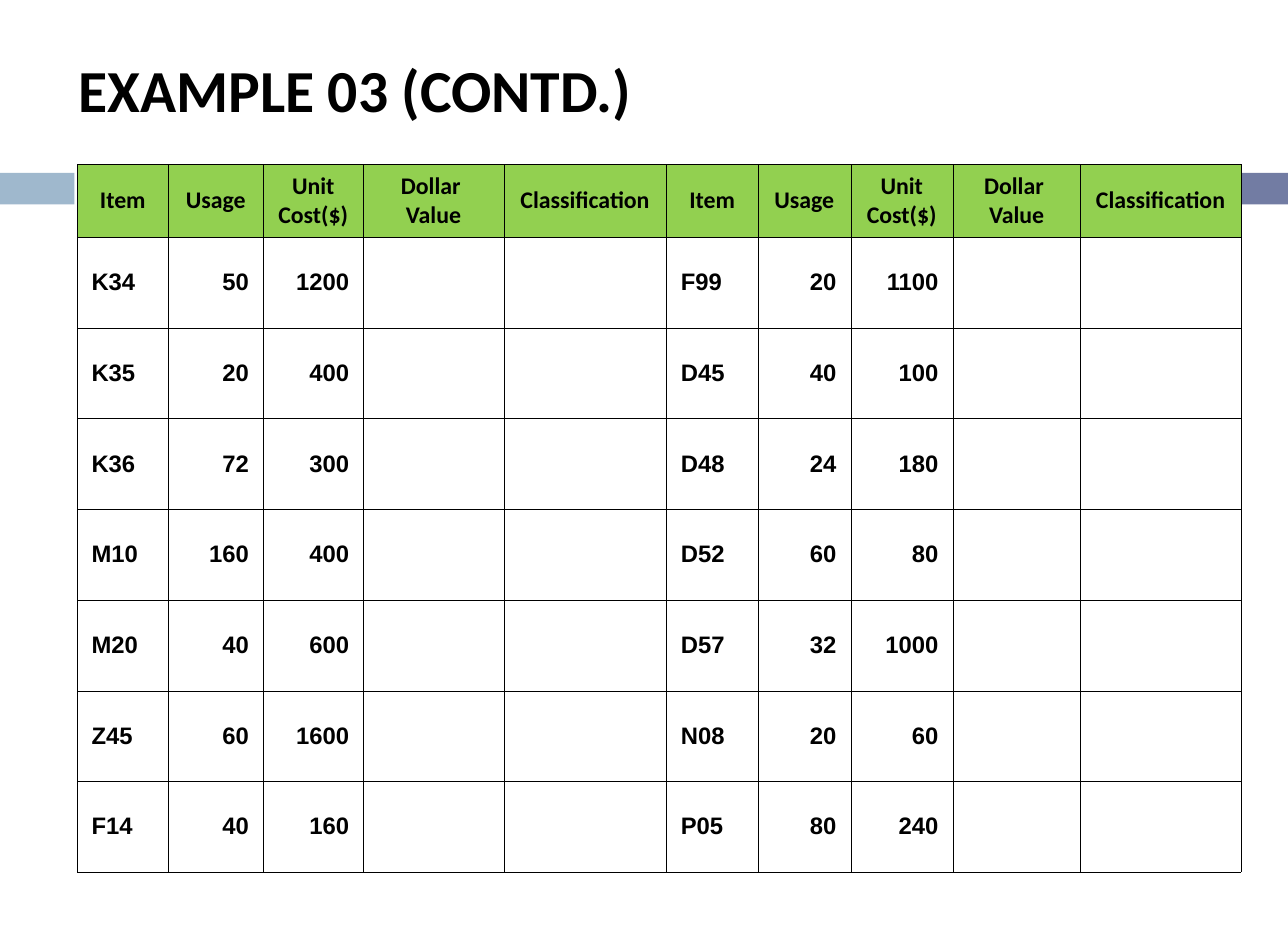
from dataclasses import dataclass

from lxml.etree import SubElement
from pptx import Presentation
from pptx.dml.color import RGBColor
from pptx.enum.shapes import MSO_SHAPE
from pptx.enum.text import MSO_ANCHOR, PP_ALIGN
from pptx.oxml.ns import qn
from pptx.util import Cm, Pt

BLACK = RGBColor(0x00, 0x00, 0x00)
GREEN = RGBColor(0x92, 0xD0, 0x50)
PALE_BLUE = RGBColor(0x9F, 0xB8, 0xCD)
SLATE_BLUE = RGBColor(0x72, 0x7C, 0xA3)

HAIRLINE = Pt(0.06)
THIN_LINE = Pt(0.45)
THIN_EDGES = (1, 9)  # column boundaries drawn with the thin line

HEADER_HEIGHT = 1.29
ROW_HEIGHT = 1.61
COLUMN_WIDTHS = (1.62, 1.68, 1.78, 2.49, 2.89, 1.62, 1.65, 1.81, 2.27, 2.84)
HEADINGS = ("Item", "Usage", "Unit\nCost($)", "Dollar \nValue", "Classification")


@dataclass(frozen=True)
class Bar:
    left: float
    width: float
    color: RGBColor


@dataclass(frozen=True)
class Item:
    code: str
    usage: int
    unit_cost: int

    def cells(self) -> tuple[str, ...]:
        return self.code, str(self.usage), str(self.unit_cost), "", ""


BARS = (Bar(0, 1.32, PALE_BLUE), Bar(1.47, 21.39, SLATE_BLUE))

LEFT_ITEMS = (
    Item("K34", 50, 1200),
    Item("K35", 20, 400),
    Item("K36", 72, 300),
    Item("M10", 160, 400),
    Item("M20", 40, 600),
    Item("Z45", 60, 1600),
    Item("F14", 40, 160),
)
RIGHT_ITEMS = (
    Item("F99", 20, 1100),
    Item("D45", 40, 100),
    Item("D48", 24, 180),
    Item("D52", 60, 80),
    Item("D57", 32, 1000),
    Item("N08", 20, 60),
    Item("P05", 80, 240),
)


def format_text(frame, font_name: str, size: float, alignment: PP_ALIGN) -> None:
    for para in frame.paragraphs:
        para.alignment = alignment
        for span in para.runs:
            span.font.name = font_name
            span.font.size = Pt(size)
            span.font.bold = True
            span.font.color.rgb = BLACK


def add_bar(page, bar: Bar) -> None:
    shape = page.shapes.add_shape(
        MSO_SHAPE.RECTANGLE, Cm(bar.left), Cm(3.07), Cm(bar.width), Cm(0.56)
    )
    shape.shadow.inherit = False
    shape.fill.solid()
    shape.fill.fore_color.rgb = bar.color
    shape.line.fill.background()


def add_title(page, text: str) -> None:
    title = page.shapes.title
    title.left, title.top = Cm(1.14), Cm(0.71)
    title.width, title.height = Cm(20.35), Cm(1.73)
    title.text_frame.text = text
    title.text_frame.vertical_anchor = MSO_ANCHOR.MIDDLE
    format_text(title.text_frame, "Calibri", 30, PP_ALIGN.LEFT)


def set_borders(cell, column: int) -> None:
    properties = cell._tc.get_or_add_tcPr()
    widths = {
        "a:lnL": THIN_LINE if column in THIN_EDGES else HAIRLINE,
        "a:lnR": THIN_LINE if column + 1 in THIN_EDGES else HAIRLINE,
        "a:lnT": HAIRLINE,
        "a:lnB": HAIRLINE,
    }
    for tag, width in widths.items():
        line = SubElement(properties, qn(tag), w=str(int(width)))
        fill = SubElement(line, qn("a:solidFill"))
        SubElement(fill, qn("a:srgbClr"), val=str(BLACK))


def fill_cell(cell, text: str, column: int, is_header: bool) -> None:
    set_borders(cell, column)
    cell.vertical_anchor = MSO_ANCHOR.MIDDLE
    cell.text_frame.text = text
    if is_header:
        cell.fill.solid()
        cell.fill.fore_color.rgb = GREEN
        format_text(cell.text_frame, "Calibri", 12, PP_ALIGN.CENTER)
    else:
        cell.fill.background()
        is_code = column % len(HEADINGS) == 0
        alignment = PP_ALIGN.LEFT if is_code else PP_ALIGN.RIGHT
        format_text(cell.text_frame, "Arial", 12, alignment)


def add_item_table(page) -> None:
    rows = [HEADINGS * 2]
    rows += [left.cells() + right.cells() for left, right in zip(LEFT_ITEMS, RIGHT_ITEMS)]
    heights = [HEADER_HEIGHT] + [ROW_HEIGHT] * len(LEFT_ITEMS)
    table = page.shapes.add_table(
        len(rows), len(COLUMN_WIDTHS),
        Cm(1.37), Cm(2.92), Cm(sum(COLUMN_WIDTHS)), Cm(sum(heights)),
    ).table
    table.first_row = False
    table.horz_banding = False
    for column, width in zip(table.columns, COLUMN_WIDTHS):
        column.width = Cm(width)
    for row_index, (texts, height) in enumerate(zip(rows, heights)):
        table.rows[row_index].height = Cm(height)
        for column_index, text in enumerate(texts):
            cell = table.cell(row_index, column_index)
            fill_cell(cell, text, column_index, row_index == 0)


def main() -> None:
    deck = Presentation()
    deck.slide_width, deck.slide_height = Cm(22.86), Cm(16.51)
    page = deck.slides.add_slide(deck.slide_layouts[5])
    for bar in BARS:
        add_bar(page, bar)
    add_title(page, "EXAMPLE 03 (CONTD.)")
    add_item_table(page)
    deck.save("out.pptx")


if __name__ == "__main__":
    main()
